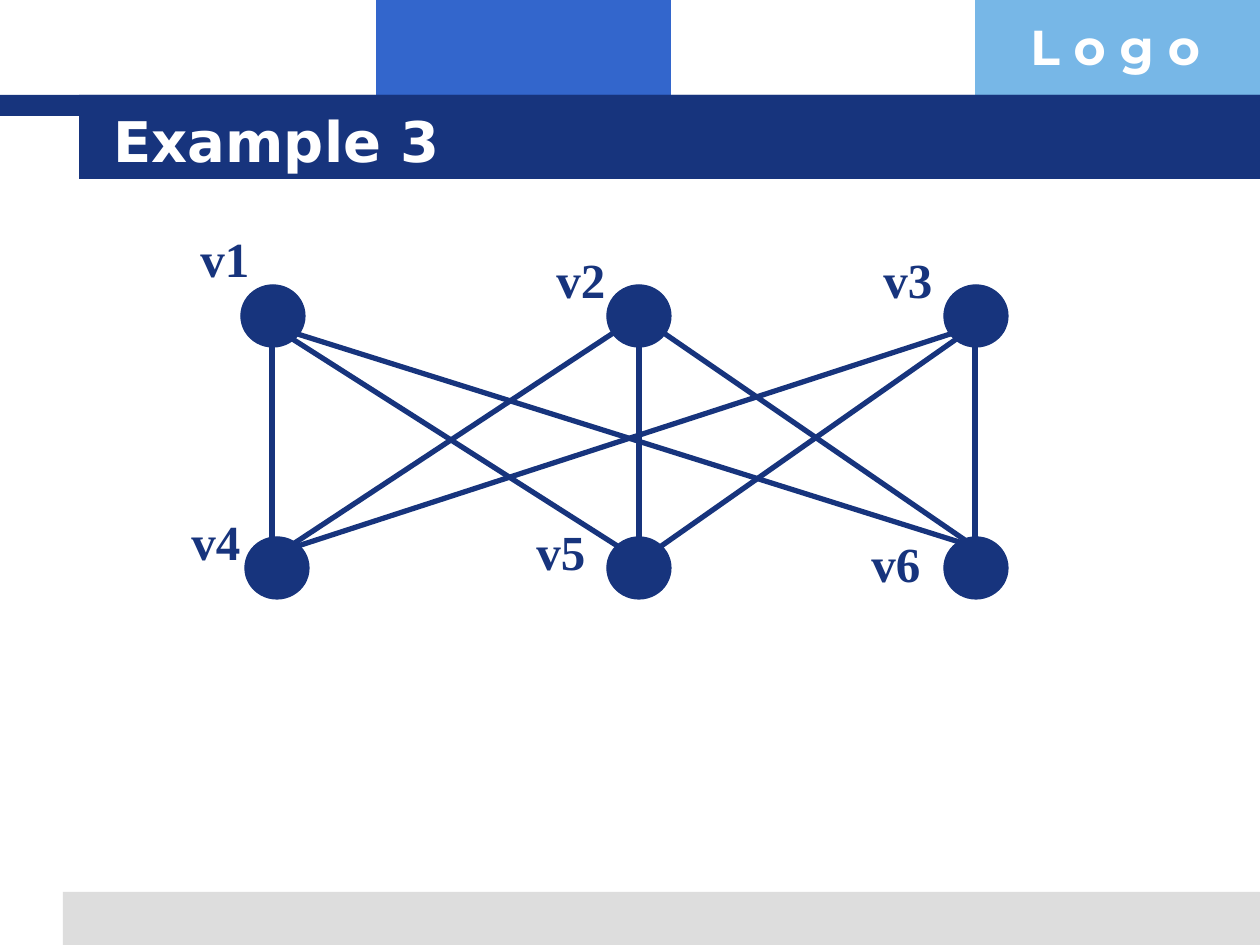
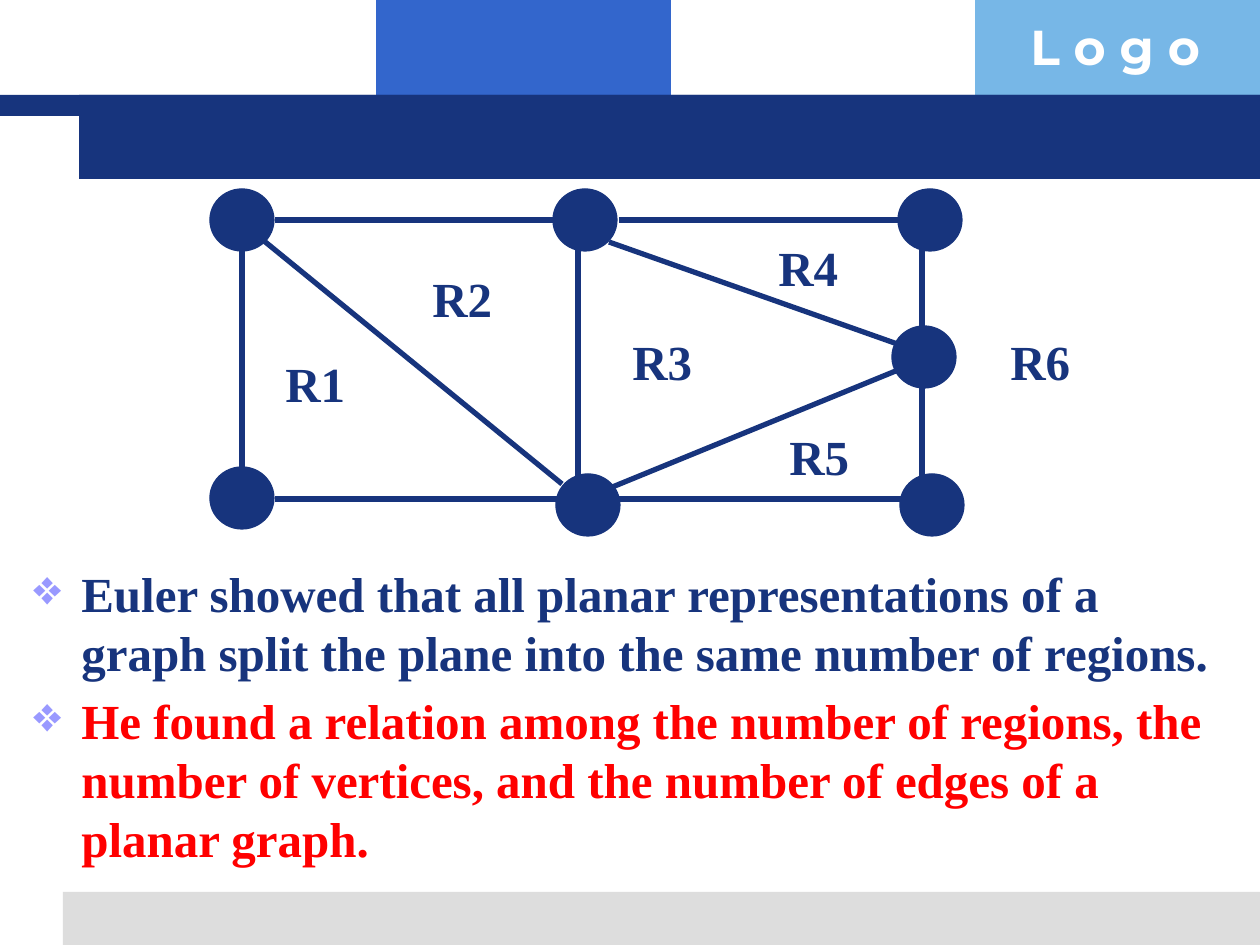
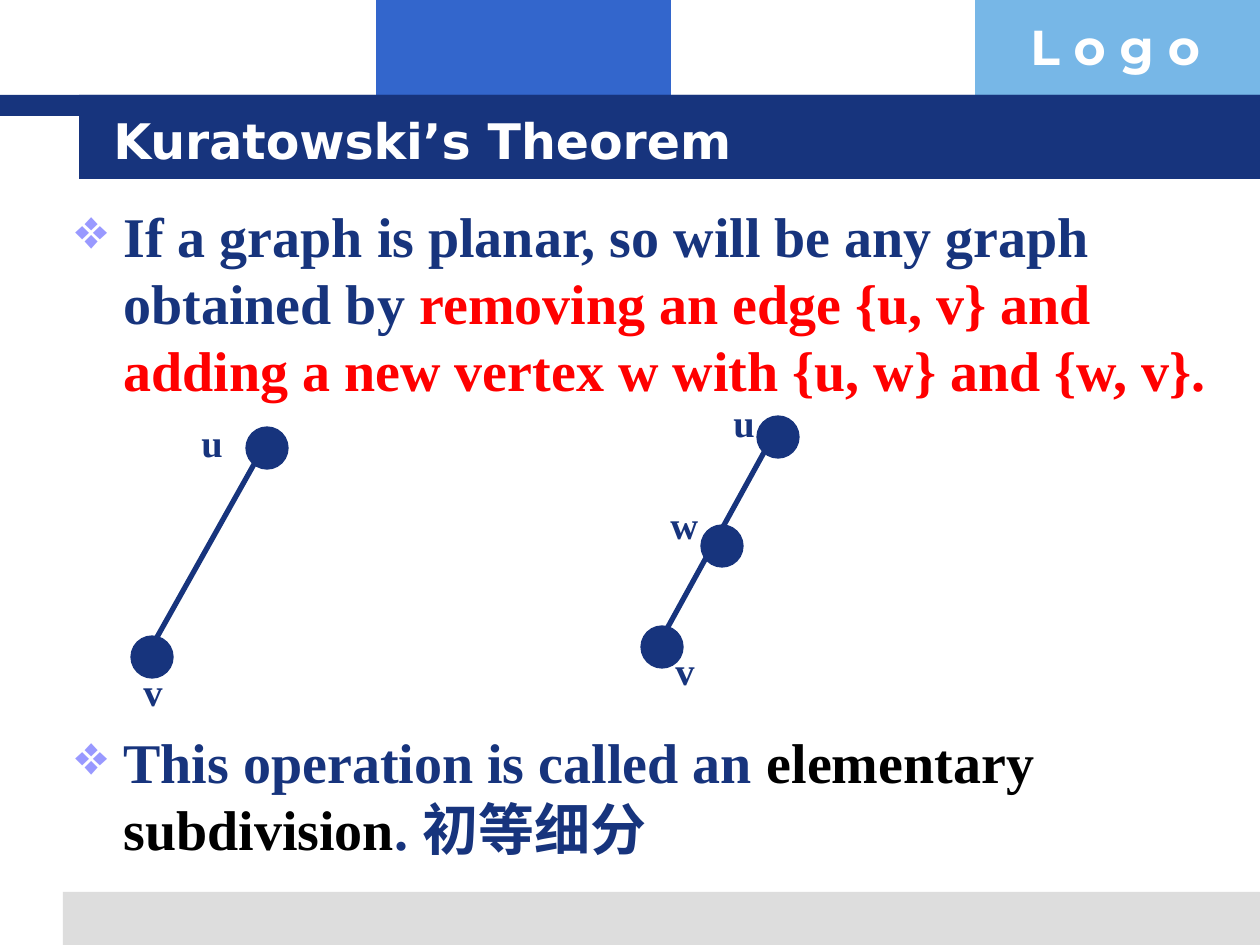
"""Build three slides on planar graphs, regions and elementary subdivision."""
import pptx
import pptx.dml.color
import pptx.enum.shapes
import pptx.enum.text
import pptx.oxml.ns
import pptx.util
from lxml import etree

EMU_PER_PX = 914400 / 126
NAVY = pptx.dml.color.RGBColor(0x17, 0x34, 0x7D)
BLUE = pptx.dml.color.RGBColor(0x33, 0x66, 0xCC)
SKY = pptx.dml.color.RGBColor(0x77, 0xB7, 0xE7)
GREY = pptx.dml.color.RGBColor(0xDD, 0xDD, 0xDD)
LILAC = pptx.dml.color.RGBColor(0x99, 0x99, 0xFF)
RED = pptx.dml.color.RGBColor(0xFF, 0x00, 0x00)
BLACK = pptx.dml.color.RGBColor(0x00, 0x00, 0x00)
WHITE = pptx.dml.color.RGBColor(0xFF, 0xFF, 0xFF)
SERIF, SANS, LOGO_FONT = "Times New Roman", "DejaVu Sans", "Montserrat"
BULLET_INDENT = 48
BANDS = [
    (376, 0, 295, 116, BLUE),
    (975, 0, 285, 116, SKY),
    (63, 892, 1197, 53, GREY),
    (0, 95, 1260, 21, NAVY),
    (79, 95, 1181, 84, NAVY),
]


def px(*lengths):
    return [pptx.util.Emu(round(length * EMU_PER_PX)) for length in lengths]


def style_font(font, face, size, color):
    font.name = face
    font.size = pptx.util.Pt(size)
    font.bold = True
    font.color.rgb = color


def add_solid(slide, kind, box, color):
    solid = slide.shapes.add_shape(kind, *px(*box))
    solid.shadow.inherit = False
    solid.fill.solid()
    solid.fill.fore_color.rgb = color
    solid.line.fill.background()
    return solid


def add_frame(slide, box):
    frame = slide.shapes.add_textbox(*px(*box)).text_frame
    frame.word_wrap = True
    return frame


def add_text(slide, box, text, face, size, color):
    frame = add_frame(slide, box)
    frame.text = text
    style_font(frame.paragraphs[0].font, face, size, color)
    return frame


def add_vertices(slide, corners, width, height):
    for left, top in corners:
        vertex = add_solid(slide, pptx.enum.shapes.MSO_SHAPE.OVAL,
                           (left, top, width, height), NAVY)
        vertex.line.color.rgb = NAVY
        vertex.line.width = pptx.util.Pt(0.75)


def add_edges(slide, edges):
    for ends in edges:
        edge = slide.shapes.add_connector(
            pptx.enum.shapes.MSO_CONNECTOR.STRAIGHT, *px(*ends))
        edge.line.color.rgb = NAVY
        edge.line.width = pptx.util.Pt(3)
        etree.SubElement(edge._element.spPr, pptx.oxml.ns.qn("a:effectLst"))


def add_labels(slide, labels, width, height, size):
    for text, left, top in labels:
        add_text(slide, (left, top, width, height), text, SERIF, size, NAVY)


def set_bullet(paragraph):
    properties = paragraph._p.get_or_add_pPr()
    indent = px(BULLET_INDENT)[0]
    properties.set("marL", str(indent))
    properties.set("indent", str(-indent))
    color = etree.SubElement(properties, pptx.oxml.ns.qn("a:buClr"))
    etree.SubElement(color, pptx.oxml.ns.qn("a:srgbClr"), val=str(LILAC))
    etree.SubElement(properties, pptx.oxml.ns.qn("a:buChar"), char="❖")


def add_bullets(slide, box, size, bullets):
    frame = add_frame(slide, box)
    for index, parts in enumerate(bullets):
        paragraph = frame.add_paragraph() if index else frame.paragraphs[0]
        set_bullet(paragraph)
        if index:
            paragraph.space_before = pptx.util.Pt(size * 0.2)
        style_font(paragraph.font, SERIF, size, parts[0][1])
        for text, color in parts:
            run = paragraph.add_run()
            run.text = text
            if color != parts[0][1]:
                run.font.color.rgb = color


def add_slide(deck, title=None, title_size=32):
    slide = deck.slides.add_slide(deck.slide_layouts[6])
    for *box, color in BANDS:
        add_solid(slide, pptx.enum.shapes.MSO_SHAPE.RECTANGLE, box, color)
    add_text(slide, (1018, 10, 243, 72), "L o g o", LOGO_FONT, 28, WHITE)
    if title:
        heading = add_text(slide, (101, 101, 1075, 78), title, SANS, title_size, WHITE)
        heading.vertical_anchor = pptx.enum.text.MSO_ANCHOR.MIDDLE
    return slide


def build_bipartite_graph(deck):
    slide = add_slide(deck, "Example 3")
    add_edges(slide, [
        (272, 326, 272, 558), (272, 326, 619, 547), (272, 326, 975, 547),
        (639, 316, 272, 558), (639, 316, 639, 547), (639, 316, 975, 547),
        (975, 326, 261, 558), (975, 326, 660, 547), (975, 326, 975, 547),
    ])
    add_vertices(slide, [(241, 285), (607, 285), (944, 285),
                         (245, 537), (607, 537), (944, 537)], 64, 62)
    add_labels(slide, [
        ("v1", 188, 222), ("v2", 544, 243), ("v3", 871, 243),
        ("v4", 179, 505), ("v5", 524, 515), ("v6", 859, 527),
    ], 95, 72, 28)


def build_regions(deck):
    slide = add_slide(deck)
    add_bullets(slide, (21, 557, 1218, 346), 28, [
        [("Euler showed that all planar representations of a graph split "
          "the plane into the same number of regions.", NAVY)],
        [("He found a relation among the number of regions, the number of "
          "vertices, and the number of edges of a planar graph.", RED)],
    ])
    add_vertices(slide, [(210, 189), (553, 189), (898, 189), (892, 326),
                         (210, 467), (556, 474), (900, 474)], 64, 62)
    add_edges(slide, [
        (275, 220, 562, 220), (619, 220, 907, 220),
        (275, 499, 562, 499), (619, 499, 907, 499),
        (242, 251, 242, 467), (578, 236, 578, 484), (922, 236, 922, 484),
        (258, 236, 562, 484), (609, 242, 903, 346), (610, 488, 903, 368),
    ])
    add_labels(slide, [
        ("R1", 273, 347), ("R2", 420, 262), ("R3", 620, 325),
        ("R4", 766, 231), ("R5", 777, 420), ("R6", 998, 325),
    ], 125, 72, 28)


def build_subdivision(deck):
    slide = add_slide(deck, "Kuratowski’s Theorem", 28)
    add_bullets(slide, (63, 195, 1166, 220), 32, [[
        ("If a graph is planar, so will be any graph obtained by ", NAVY),
        ("removing an edge {u, v} and adding a new vertex w with "
         "{u, w} and {w, v}.", RED),
    ]])
    add_bullets(slide, (63, 721, 1166, 160), 32, [[
        ("This operation is called an ", NAVY),
        ("elementary subdivision", BLACK),
        (". 初等细分", NAVY),
    ]])
    add_vertices(slide, [(246, 427), (131, 636),
                         (757, 416), (701, 525), (641, 626)], 42, 42)
    add_edges(slide, [(151, 648, 257, 459), (663, 636, 767, 447)])
    add_labels(slide, [
        ("u", 189, 413), ("v", 131, 662),
        ("u", 721, 393), ("w", 658, 495), ("v", 663, 641),
    ], 53, 59, 22)


def main():
    deck = pptx.Presentation()
    deck.slide_width, deck.slide_height = px(1260, 945)
    build_bipartite_graph(deck)
    build_regions(deck)
    build_subdivision(deck)
    deck.save("out.pptx")


if __name__ == "__main__":
    main()
